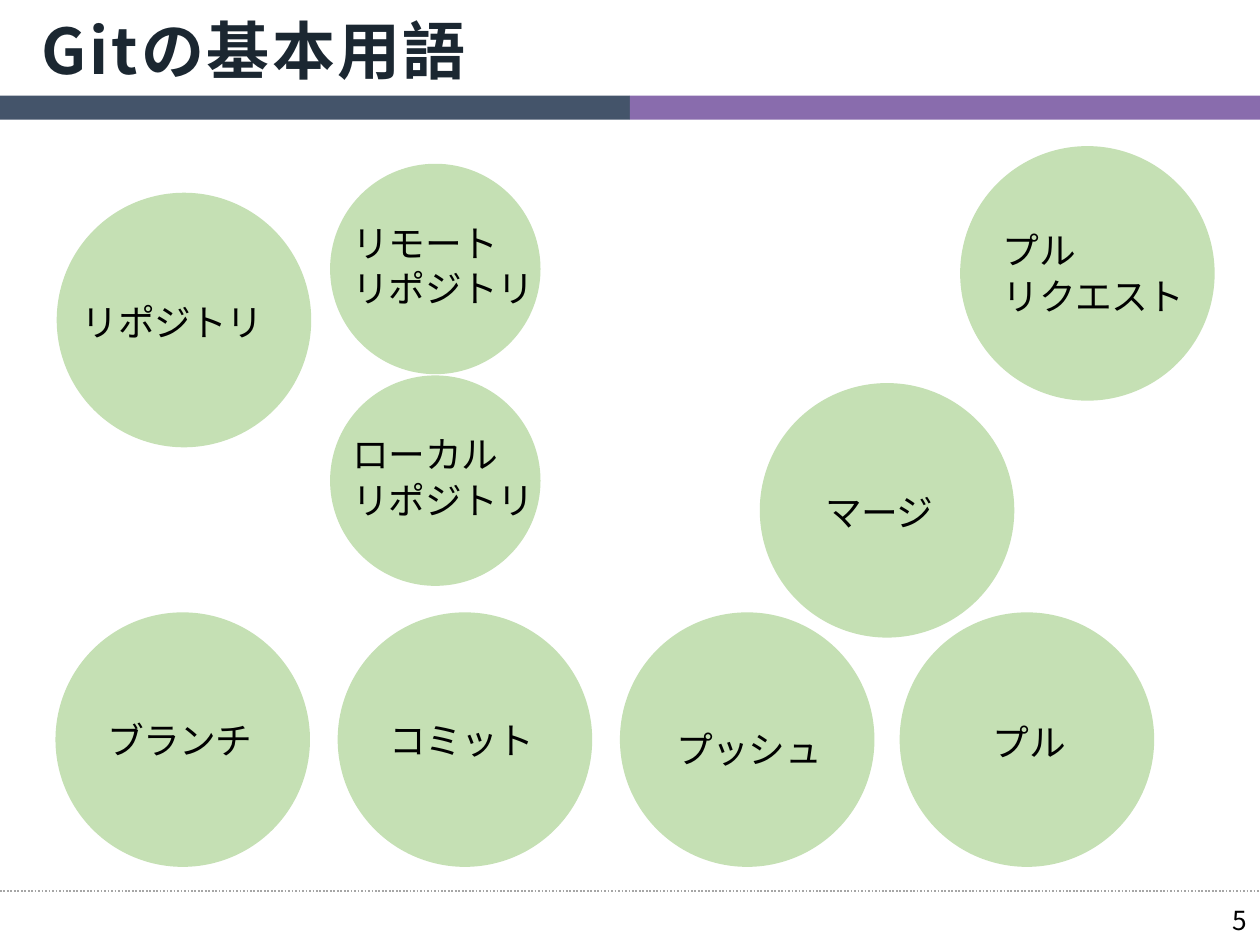
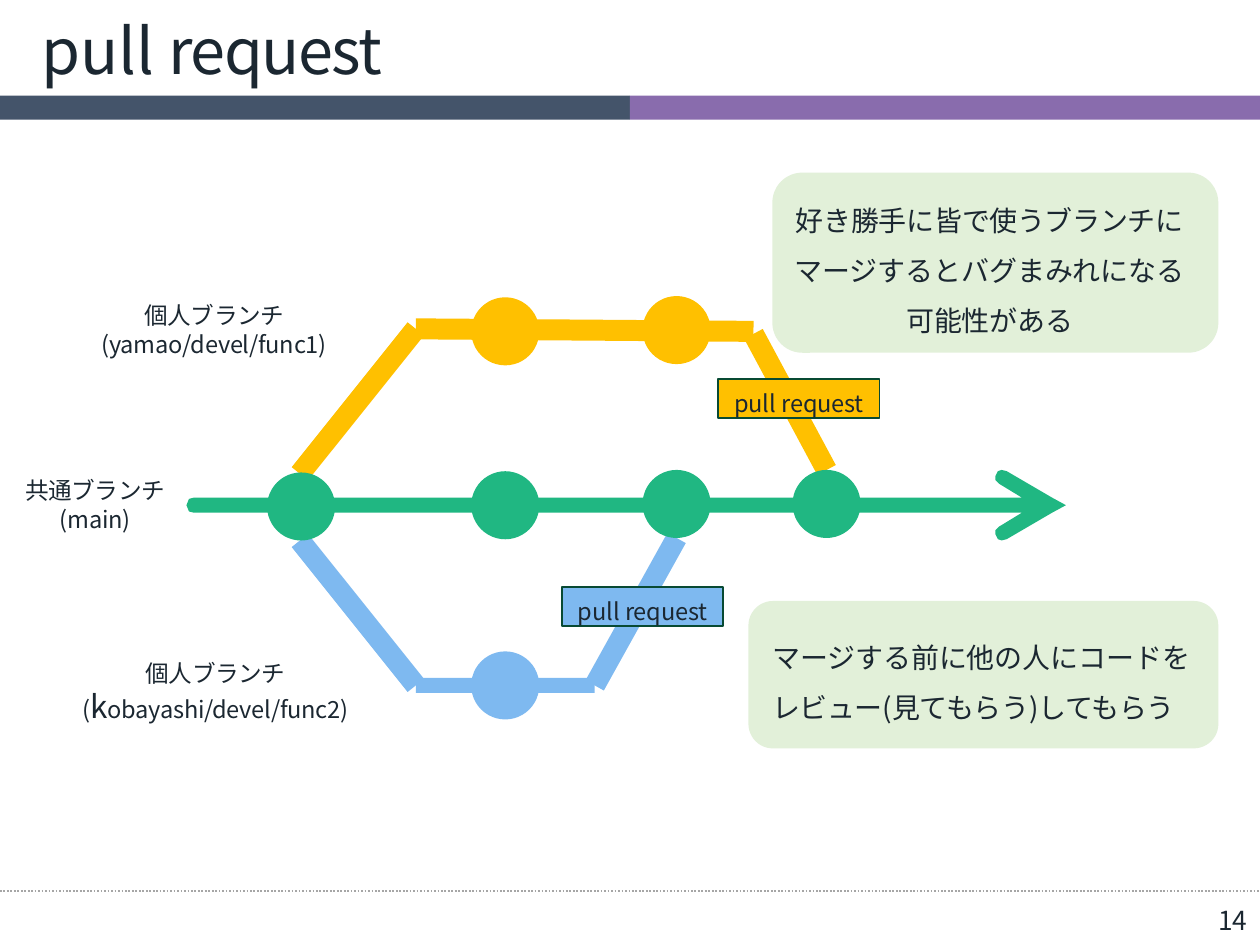
"""Builds two slides: the basic Git terms and the pull request flow."""
from dataclasses import dataclass

from lxml import etree
from pptx import Presentation
from pptx.dml.color import RGBColor
from pptx.enum.dml import MSO_LINE
from pptx.enum.shapes import MSO_CONNECTOR, MSO_SHAPE
from pptx.enum.text import MSO_ANCHOR, PP_ALIGN
from pptx.oxml.ns import qn
from pptx.util import Pt

PX = 9144
BLANK_LAYOUT = 6
RECT, OVAL, ROUNDED = MSO_SHAPE.RECTANGLE, MSO_SHAPE.OVAL, MSO_SHAPE.ROUNDED_RECTANGLE
STRAIGHT, DOTTED = MSO_CONNECTOR.STRAIGHT, MSO_LINE.ROUND_DOT
LEFT, CENTER, RIGHT = PP_ALIGN.LEFT, PP_ALIGN.CENTER, PP_ALIGN.RIGHT
TOP, MIDDLE = MSO_ANCHOR.TOP, MSO_ANCHOR.MIDDLE


@dataclass(frozen=True)
class Theme:
    font: str = "Noto Sans CJK JP"
    ink: str = "1B2731"
    black: str = "000000"
    slate: str = "44546A"
    purple: str = "896CAD"
    rule: str = "A6A6A6"
    term: str = "C5E0B4"
    callout: str = "E2F0D9"
    main: str = "20B782"
    func1: str = "FFC000"
    func2: str = "7EB9F0"
    label_edge: str = "084A33"
    title_size: float = 36
    term_size: float = 21
    k_size: float = 18
    callout_size: float = 16
    page_size: float = 15
    label_size: float = 13.5
    branch_width: float = 12


@dataclass(frozen=True)
class Run:
    text: str
    tracking: float = 0
    size: float = 0


class Deck:
    def __init__(self, theme):
        self.theme = theme
        self.presentation = Presentation()
        self.presentation.slide_width = 1000 * PX
        self.presentation.slide_height = 750 * PX
        self.slide = None

    def new_slide(self, title, page, page_color, bold=False):
        theme = self.theme
        layout = self.presentation.slide_layouts[BLANK_LAYOUT]
        self.slide = self.presentation.slides.add_slide(layout)
        self.line((0, 707), (1000, 707), theme.rule, 1).dash_style = DOTTED
        for left, color in ((0, theme.slate), (500, theme.purple)):
            self.shape(RECT, (left, 76, 500, 19), color)
        self.text((33, 8, 908, 62), [title], theme.title_size, theme.ink, bold=bold)
        self.text((775, 714, 215, 32), [[Run(page)]], theme.page_size, page_color,
                  align=RIGHT, anchor=MIDDLE)

    def paint(self, shape, fill, edge=None):
        shape.shadow.inherit = False
        shape.fill.solid()
        shape.fill.fore_color.rgb = RGBColor.from_string(fill)
        if edge:
            shape.line.color.rgb = RGBColor.from_string(edge)
            shape.line.width = Pt(1)
        else:
            shape.line.fill.background()
        return shape

    def shape(self, kind, box, fill, edge=None):
        placed = self.slide.shapes.add_shape(kind, *(n * PX for n in box))
        return self.paint(placed, fill, edge)

    def circle(self, center, diameter, fill):
        x, y = center
        radius = diameter // 2
        self.shape(OVAL, (x - radius, y - radius, diameter, diameter), fill)

    def polygon(self, points, fill):
        builder = self.slide.shapes.build_freeform(*points[0], scale=PX)
        builder.add_line_segments(points[1:], close=True)
        self.paint(builder.convert_to_shape(), fill)

    def line(self, start, end, color, width):
        ends = (n * PX for n in (*start, *end))
        connector = self.slide.shapes.add_connector(STRAIGHT, *ends)
        etree.SubElement(connector._element.spPr, qn("a:effectLst"))
        connector.line.color.rgb = RGBColor.from_string(color)
        connector.line.width = Pt(width)
        return connector.line

    def text(self, box, paragraphs, size, color, **layout):
        placed = self.slide.shapes.add_textbox(*(n * PX for n in box))
        self.fill_text(placed.text_frame, paragraphs, size, color, **layout)

    def fill_text(self, frame, paragraphs, size, color, align=LEFT, anchor=TOP,
                  spacing=None, before=0, top=1, bold=False):
        frame.word_wrap = True
        frame.vertical_anchor = anchor
        frame.margin_left = frame.margin_right = frame.margin_bottom = 0
        frame.margin_top = top * PX
        for index, runs in enumerate(paragraphs):
            paragraph = frame.paragraphs[0] if index == 0 else frame.add_paragraph()
            paragraph.alignment = align
            paragraph.space_before = Pt(before)
            if spacing:
                paragraph.line_spacing = spacing
            for piece in runs:
                run = paragraph.add_run()
                run.text = piece.text
                run.font.name = self.theme.font
                run.font.size = Pt(piece.size or size)
                run.font.bold = bold
                run.font.color.rgb = RGBColor.from_string(color)
                properties = run._r.get_or_add_rPr()
                properties.set("spc", str(round(piece.tracking * 100)))
                east_asian = etree.SubElement(properties, qn("a:ea"))
                east_asian.set("typeface", self.theme.font)


def build_terms(deck):
    theme = deck.theme
    deck.new_slide([Run("Git", 1.7), Run("の基本用語", 1.4)], "5", theme.black, bold=True)
    large, small = 202, 167
    terms = [
        ((369, 587), large, (309, 569, 119), ["コミット"]),
        ((146, 254), large, (65, 237, 160), ["リポジトリ"]),
        ((145, 587), large, (85, 569, 119), ["ブランチ"]),
        ((704, 405), large, (655, 388, 98), ["マージ"]),
        ((345, 213), small, (280, 174, 160), ["リモート", "リポジトリ"]),
        ((345, 381), small, (280, 342, 160), ["ローカル", "リポジトリ"]),
        ((863, 217), large, (796, 180, 160), ["プル", "リクエスト"]),
        ((593, 587), large, (537, 576, 120), ["プッシュ"]),
        ((815, 587), large, (788, 570, 65), ["プル"]),
    ]
    for center, diameter, (left, top, width), words in terms:
        deck.circle(center, diameter, theme.term)
        deck.text((left, top, width, 36 * len(words)), [[Run(word, -0.3)] for word in words],
                  theme.term_size, theme.black, before=0.7)


def build_pull_request(deck):
    theme = deck.theme
    deck.new_slide([Run("pull "), Run("request", -0.9)], "14", theme.ink)
    for box in ((594, 477, 373, 117), (613, 137, 354, 143)):
        deck.shape(ROUNDED, box, theme.callout)

    branch_lines = [
        ((656, 373), (598, 265), theme.func1),
        ((537, 427), (472, 544), theme.func2),
        ((238, 429), (330, 544), theme.func2),
        ((238, 376), (330, 261), theme.func1),
        ((330, 261), (598, 263), theme.func1),
    ]
    for start, end, color in branch_lines:
        deck.line(start, end, color, theme.branch_width)
    deck.shape(RECT, (330, 538, 142, 12), theme.func2)

    axis = 401
    upper_edge = [(148, 0), (150, 5), (154, 6), (811, 6), (793, 17), (790, 20),
                  (790, 23), (792, 27), (795, 28), (799, 27), (835, 6)]
    upper = [(x, axis - rise) for x, rise in upper_edge]
    lower = [(x, axis + rise) for x, rise in reversed(upper_edge[1:])]
    deck.polygon(upper + [(846, axis)] + lower, theme.main)

    commits = [
        (theme.func1, [(401, 263), (537, 262)]),
        (theme.main, [(239, 402), (401, 401), (537, 400), (656, 400)]),
        (theme.func2, [(401, 544)]),
    ]
    for color, centers in commits:
        for center in centers:
            deck.circle(center, 54, color)

    personal = [Run("個人ブランチ", -0.1)]
    branch_names = [
        ((18, 377, 115, 46), [[Run("共通ブランチ", -0.1)], [Run("(main)", -0.1)]]),
        ((64, 238, 212, 46), [personal, [Run("(yamao/devel/func1)", -0.1)]]),
        ((52, 522, 238, 54), [personal, [Run("(", -0.1), Run("k", -0.1, theme.k_size),
                                         Run("obayashi/devel/func2)", -0.1)]]),
    ]
    for box, name in branch_names:
        deck.text(box, name, theme.label_size, theme.ink, align=CENTER)

    warning = [Run("好き勝手に皆で使うブランチに ", -0.1),
               Run("マージするとバグまみれになる可"), Run("能性がある", -0.1)]
    deck.text((627, 147, 317, 119), [warning], theme.callout_size, theme.ink,
              align=CENTER, spacing=1.5, before=0.8)
    review = [[Run("マージする前に他の人にコードを")],
              [Run("レビュー(見てもらう)してもらう", -0.2)]]
    deck.text((613, 494, 354, 78), review, theme.callout_size, theme.ink, spacing=1.5)

    for left, top, color in ((446, 466, theme.func2), (570, 301, theme.func1)):
        label = deck.shape(RECT, (left, top, 128, 31), color, theme.label_edge)
        deck.fill_text(label.text_frame, [[Run("pull "), Run("request", -0.1)]],
                       theme.label_size, theme.ink, align=CENTER, top=8)


def main():
    deck = Deck(Theme())
    build_terms(deck)
    build_pull_request(deck)
    deck.presentation.save("out.pptx")


if __name__ == "__main__":
    main()
